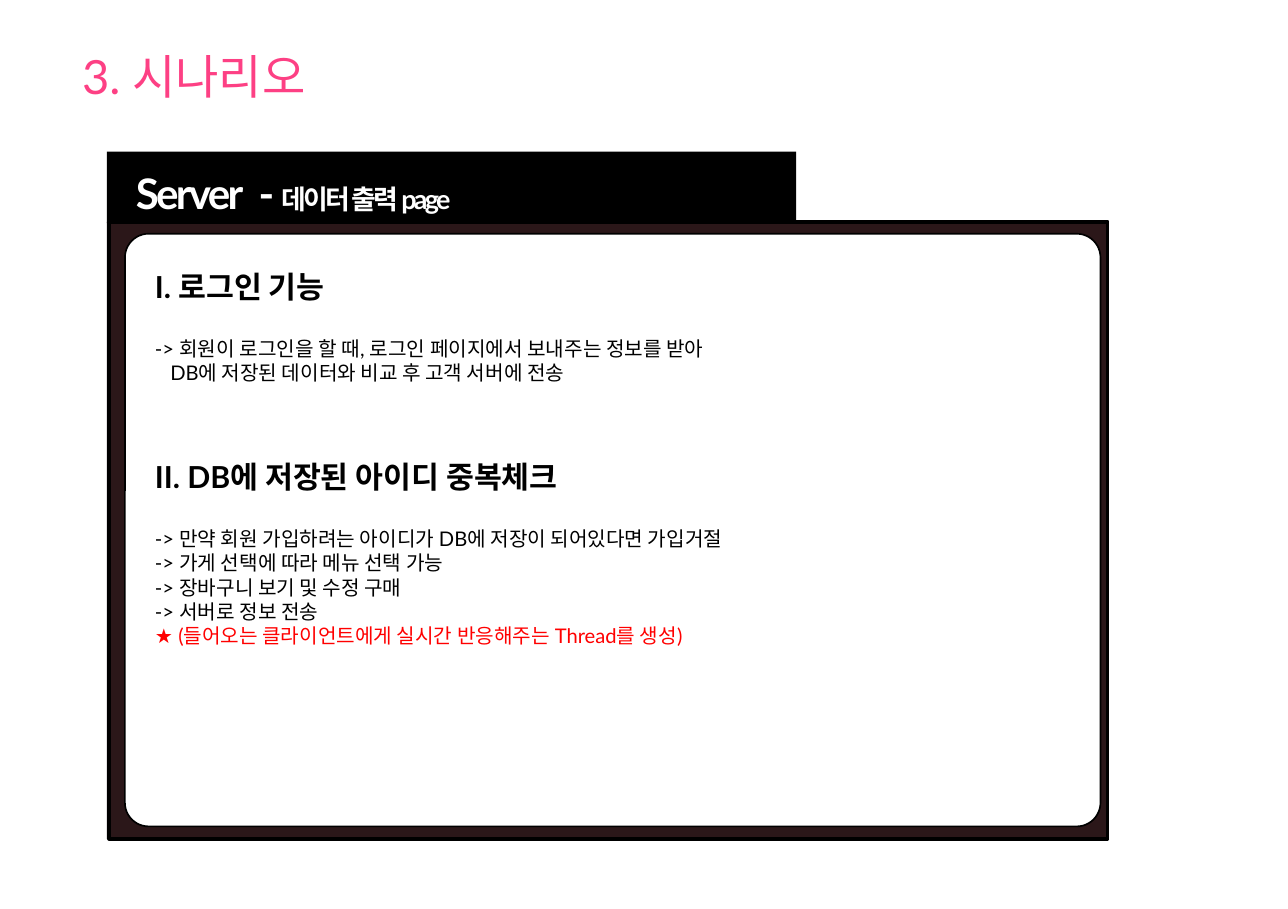
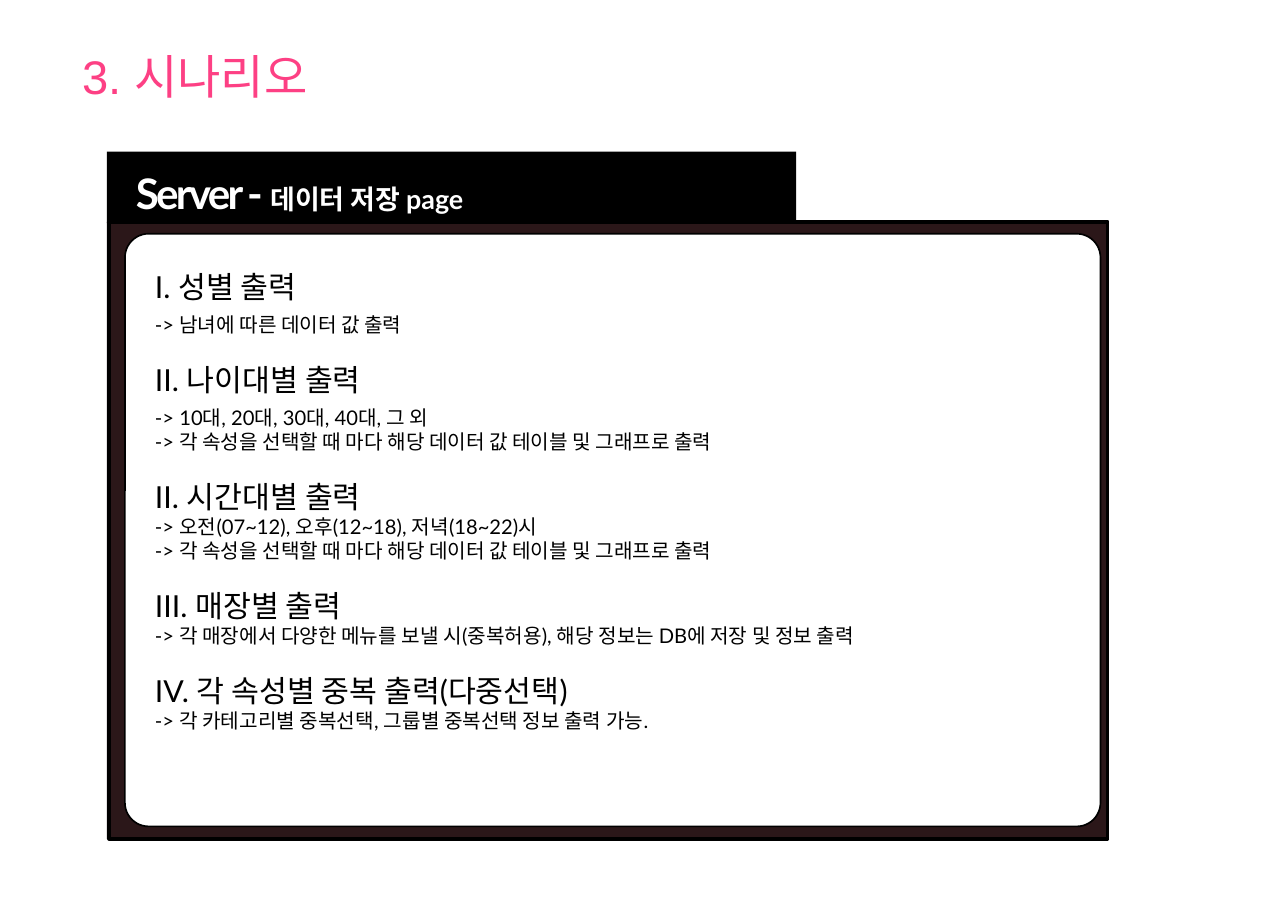
from dataclasses import dataclass

from pptx import Presentation, util as u
from pptx.dml.color import RGBColor
from pptx.enum import shapes, text

PINK, BLACK, WHITE, BROWN, RED = "FD4084", "000000", "FFFFFF", "2B1719", "FF0000"
LATO = "Lato"
RECT = shapes.MSO_SHAPE.RECTANGLE
ROUND = shapes.MSO_SHAPE.ROUNDED_RECTANGLE


@dataclass
class Run:
    text: str
    size: float
    color: str = BLACK
    bold: bool = False
    font: str = LATO
    track: float = 0


@dataclass
class Line:
    run: Run
    gap: float = 0
    inset: float = 0


@dataclass
class Page:
    font: str
    tab: list[Run]
    body: list[Line]


def head(words: str, gap: float = 14.4, bold: bool = False) -> Line:
    return Line(Run(words, 18, bold=bold), gap)


def item(words: str, gap: float = 0, inset: float = 0, color: str = BLACK) -> Line:
    return Line(Run(words, 12, color), gap, inset)


def brand(words: str, track: float = -1.6) -> Run:
    return Run(words, 25, WHITE, True, track=track)


def topic(words: str, track: float = 0) -> Run:
    return Run(words, 16, WHITE, True, track=track)


def paint(target, color: str) -> None:
    target.solid()
    target.fore_color.rgb = RGBColor.from_string(color)


def write(para, run: Run) -> None:
    part = para.add_run()
    part.text = run.text
    font = part.font
    font.name, font.size, font.bold = run.font, u.Pt(run.size), run.bold
    paint(font.fill, run.color)
    if run.track:
        part._r.get_or_add_rPr().set("spc", str(round(run.track * 100)))


def place(box: tuple[float, ...]) -> list[int]:
    return [u.Cm(v) for v in box]


def panel(slide, kind, box: tuple[float, ...], fill: str = "", line: float = 0):
    shape = slide.shapes.add_shape(kind, *place(box))
    shape.shadow.inherit = False
    if fill:
        paint(shape.fill, fill)
    else:
        shape.fill.background()
    if line:
        paint(shape.line.fill, BLACK)
        shape.line.width = u.Pt(line)
    else:
        shape.line.fill.background()
    return shape


def label(slide, box: tuple[float, ...]):
    frame = slide.shapes.add_textbox(*place(box)).text_frame
    frame.word_wrap = True
    return frame


def base(slide, page: Page) -> None:
    panel(slide, RECT, (2.24, 4.65, 20.98, 12.93), BROWN)
    card = panel(slide, ROUND, (2.62, 4.9, 20.45, 12.42), WHITE, 1)
    card.adjustments[0] = 0.04
    title = label(slide, (1.47, 0, 12.22, 3.18))
    title.vertical_anchor = text.MSO_ANCHOR.MIDDLE
    write(title.paragraphs[0], Run("3. 시나리오", 28, PINK, font=page.font))
    panel(slide, RECT, (2.29, 4.65, 20.93, 12.93), line=2.25)
    tab = panel(slide, RECT, (2.24, 3.18, 14.45, 1.5), BLACK).text_frame
    tab.vertical_anchor = text.MSO_ANCHOR.MIDDLE
    tab.margin_left = u.Cm(0.61)
    para = tab.paragraphs[0]
    para.alignment = text.PP_ALIGN.LEFT
    para.line_spacing = 1.2
    for run in page.tab:
        write(para, run)


def fill_body(slide, lines: list[Line]) -> None:
    frame = label(slide, (3, 5.49, 19.69, 10.5))
    for i, line in enumerate(lines):
        para = frame.add_paragraph() if i else frame.paragraphs[0]
        if line.gap:
            para.space_before = u.Pt(line.gap)
        if line.inset:
            para._p.get_or_add_pPr().set("marL", str(u.Cm(line.inset)))
        write(para, line.run)


SPLIT = "-> 각 속성을 선택할 때 마다 해당 데이터 값 테이블 및 그래프로 출력"

PAGES = [
    Page(
        LATO,
        [brand("Server"), brand(" ", 3), brand("- "), topic("데이터 출력 page", -1.6)],
        [
            head("I. 로그인 기능", 0, True),
            item("-> 회원이 로그인을 할 때, 로그인 페이지에서 보내주는 정보를 받아", 19.2),
            item("DB에 저장된 데이터와 비교 후 고객 서버에 전송", inset=0.32),
            head("II. DB에 저장된 아이디 중복체크", 43.2, True),
            item("-> 만약 회원 가입하려는 아이디가 DB에 저장이 되어있다면 가입거절", 19.2),
            item("-> 가게 선택에 따라 메뉴 선택 가능"),
            item("-> 장바구니 보기 및 수정 구매"),
            item("-> 서버로 정보 전송"),
            item("★ (들어오는 클라이언트에게 실시간 반응해주는 Thread를 생성)", color=RED),
        ],
    ),
    Page(
        "Arial",
        [brand("Server - "), topic("데이터 저장 page")],
        [
            head("I. 성별 출력", 0),
            item("-> 남녀에 따른 데이터 값 출력", 4.8),
            head("II. 나이대별 출력"),
            item("-> 10대, 20대, 30대, 40대, 그 외", 4.8),
            item(SPLIT),
            head("II. 시간대별 출력"),
            item("-> 오전(07~12), 오후(12~18), 저녁(18~22)시"),
            item(SPLIT),
            head("III. 매장별 출력"),
            item("-> 각 매장에서 다양한 메뉴를 보낼 시(중복허용), 해당 정보는 DB에 저장 및 정보 출력"),
            head("IV. 각 속성별 중복 출력(다중선택)"),
            item("-> 각 카테고리별 중복선택, 그룹별 중복선택 정보 출력 가능."),
        ],
    ),
]


def main() -> None:
    deck = Presentation()
    deck.slide_width, deck.slide_height = u.Cm(27), u.Cm(19.05)
    for page in PAGES:
        slide = deck.slides.add_slide(deck.slide_layouts[6])
        base(slide, page)
        fill_body(slide, page.body)
    deck.save("out.pptx")


if __name__ == "__main__":
    main()
